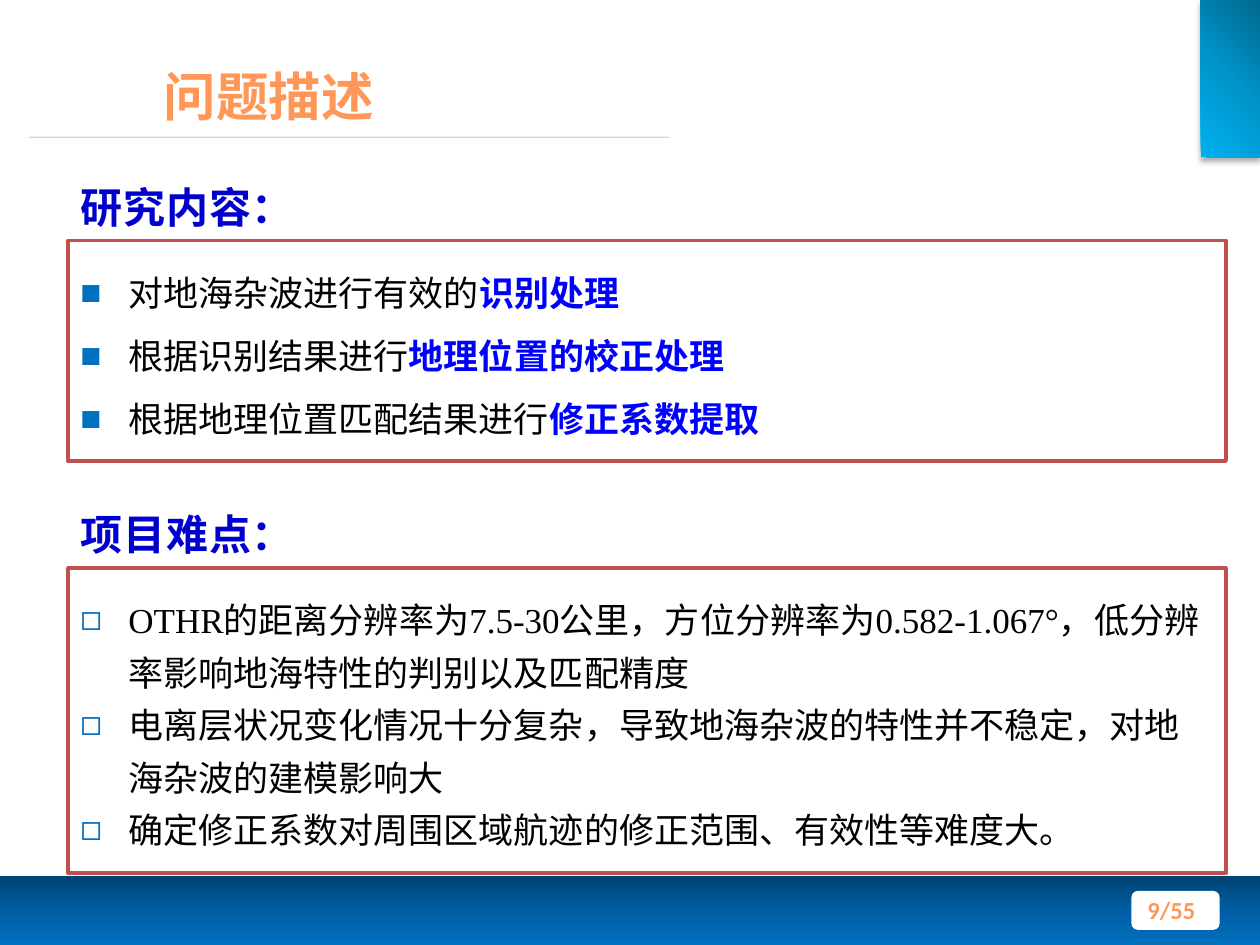
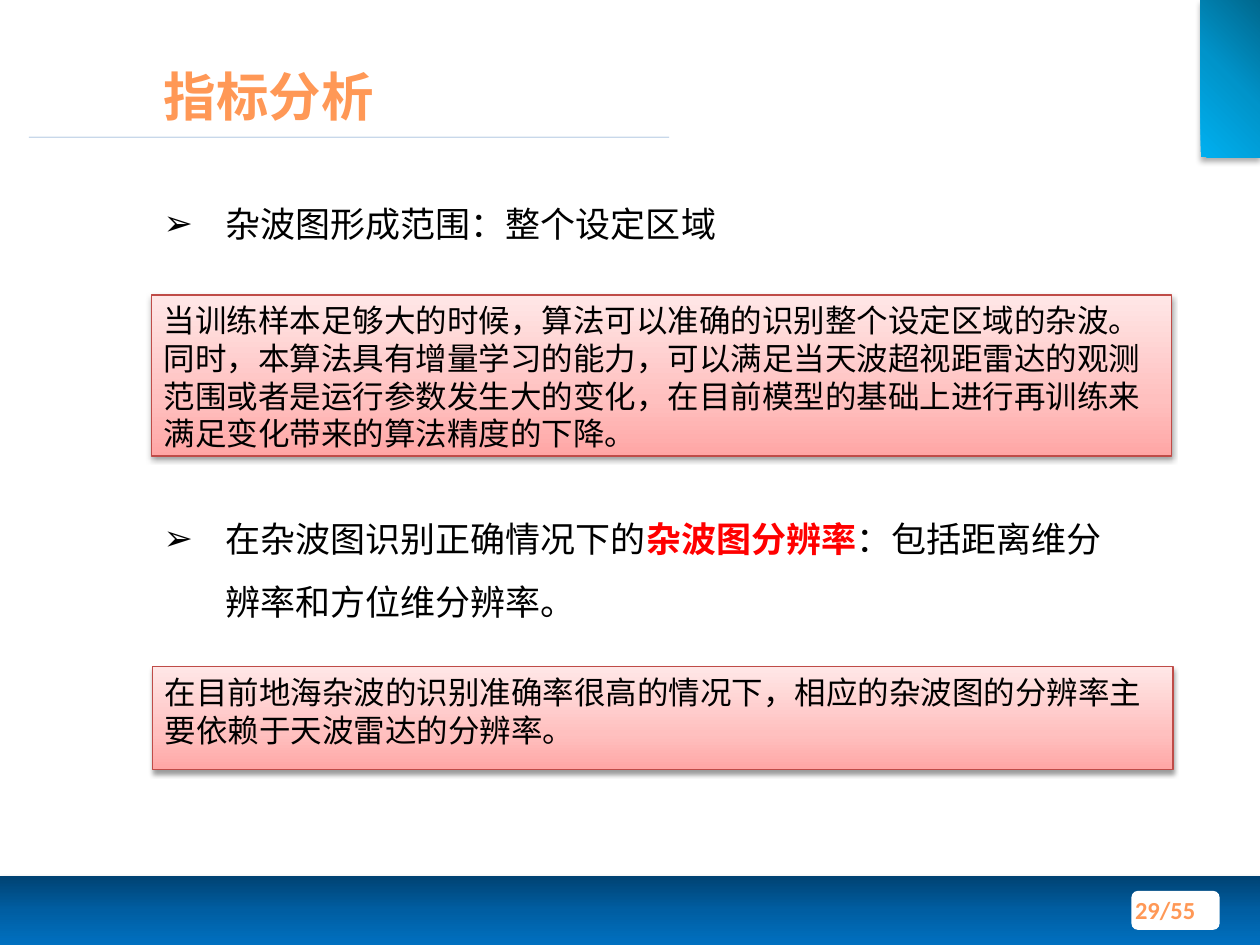
from dataclasses import dataclass

from lxml import etree
from pptx import Presentation
from pptx.dml.color import RGBColor
from pptx.enum.shapes import MSO_CONNECTOR, MSO_SHAPE
from pptx.enum.text import MSO_ANCHOR, PP_ALIGN
from pptx.oxml.ns import qn
from pptx.util import Emu, Pt

RECT, ROUND_RECT = MSO_SHAPE.RECTANGLE, MSO_SHAPE.ROUNDED_RECTANGLE
STRAIGHT = MSO_CONNECTOR.STRAIGHT
TOP, MIDDLE, BOTTOM = MSO_ANCHOR.TOP, MSO_ANCHOR.MIDDLE, MSO_ANCHOR.BOTTOM
LEFT, RIGHT = PP_ALIGN.LEFT, PP_ALIGN.RIGHT

PX = 9144
LINE_RATIO = 1.2
SANS, SERIF, NUMERALS = "Noto Sans CJK SC", "Times New Roman", "Calibri"
WHITE, BLACK, ORANGE = "FFFFFF", "000000", "FF9856"
BLUE, NAVY, BULLET_BLUE, RED = "0000FF", "0000CC", "0070C0", "FF0000"
FRAME_RED, NOTE_RED, RULE_BLUE = "C0504D", "BF4C48", "4A7EBB"


@dataclass(frozen=True)
class Box:
    left: int
    top: int
    width: int
    height: int


@dataclass(frozen=True)
class Gradient:
    stops: tuple[tuple[int, str], ...]
    angle: int = 90
    focus: tuple[tuple[str, int], ...] = ()


@dataclass(frozen=True)
class Shadow:
    opacity: int
    blur: float
    distance: float


@dataclass(frozen=True)
class Style:
    size: int
    font: str = SANS
    color: str = BLACK
    bold: bool = False
    tracking: int = 0
    spacing: float = 1
    before: int = 0
    align: PP_ALIGN = LEFT
    bullet: str = ""
    bullet_color: str = BLACK
    indent: int = 0


@dataclass(frozen=True)
class Part:
    text: str
    color: str = ""


@dataclass(frozen=True)
class Panel:
    box: Box
    fill: str | Gradient
    line: str = ""
    weight: float = 0
    shadow: Shadow | None = None
    kind: MSO_SHAPE = RECT


Paragraphs = list[list[Part]]

TITLE = Style(30, color=ORANGE, bold=True)
PAGE = Style(14, NUMERALS, ORANGE, bold=True, align=RIGHT)
HEADING = Style(24, color=NAVY, bold=True, tracking=50)
TASK = Style(20, spacing=1.25, before=6, bullet="■",
             bullet_color=BULLET_BLUE, indent=38)
DIFFICULTY = Style(20, SERIF, spacing=1.25, bullet="◻",
                   bullet_color=BULLET_BLUE, indent=38)
METRIC = Style(20, spacing=1.5, bullet="➢", indent=49)
NOTE = Style(18, SERIF)

NOTE_FILL = Gradient(((0, "FFA6A5"), (35, "FFC0BF"), (100, "FFE7E7")), 270)
NOTE_SHADOW = Shadow(38, 3.1, 1.6)
FOOTER = Panel(Box(0, 695, 1000, 55),
               Gradient(((0, "004272"), (50, "005EA2"), (100, "0070C0"))),
               shadow=Shadow(40, 4, 3))
PAGE_PLATE = Panel(Box(898, 707, 70, 31), WHITE, kind=ROUND_RECT)
CORNER = Panel(Box(953, 0, 47, 125),
               Gradient(((0, "00688E"), (50, "0094CA"), (100, "00B0F0")),
                        focus=(("l", 100), ("t", 0), ("r", 0), ("b", 100))),
               shadow=Shadow(32, 3.5, 2.2))


def rgb(code: str) -> RGBColor:
    return RGBColor.from_string(code)


def px(length: int) -> Emu:
    return Emu(length * PX)


def place(box: Box) -> tuple[Emu, ...]:
    return tuple(px(n) for n in (box.left, box.top, box.width, box.height))


def apply(target, values: dict) -> None:
    for name, value in values.items():
        setattr(target, name, value)


def child(parent, tag: str, **values):
    return etree.SubElement(parent, qn(f"a:{tag}"),
                            {name: str(value) for name, value in values.items()})


def paint_gradient(shape, gradient: Gradient) -> None:
    shape.fill.gradient()
    fill = shape._element.spPr.find(qn("a:gradFill"))
    for old in list(fill):
        fill.remove(old)
    stops = child(fill, "gsLst")
    for position, color in gradient.stops:
        child(child(stops, "gs", pos=position * 1000), "srgbClr", val=color)
    if gradient.focus:
        focus = {side: n * 1000 for side, n in gradient.focus}
        child(child(fill, "path", path="circle"), "fillToRect", **focus)
    else:
        child(fill, "lin", ang=gradient.angle * 60000, scaled=0)


def cast_shadow(shape, shadow: Shadow) -> None:
    effects = shape._element.spPr.find(qn("a:effectLst"))
    outer = child(effects, "outerShdw", blurRad=Pt(shadow.blur),
                  dist=Pt(shadow.distance), dir=5400000,
                  algn="ctr", rotWithShape=0)
    child(child(outer, "srgbClr", val=BLACK), "alpha", val=shadow.opacity * 1000)


def draw_panel(slide, panel: Panel):
    shape = slide.shapes.add_shape(panel.kind, *place(panel.box))
    shape.shadow.inherit = False
    if isinstance(panel.fill, Gradient):
        paint_gradient(shape, panel.fill)
    else:
        shape.fill.solid()
        shape.fill.fore_color.rgb = rgb(panel.fill)
    if panel.line:
        shape.line.color.rgb = rgb(panel.line)
        shape.line.width = Pt(panel.weight)
    else:
        shape.line.fill.background()
    if panel.shadow:
        cast_shadow(shape, panel.shadow)
    return shape


def write_part(paragraph, part: Part, style: Style) -> None:
    run = paragraph.add_run()
    run.text = part.text
    apply(run.font, {"size": Pt(style.size), "name": style.font,
                     "bold": style.bold or bool(part.color)})
    run.font.color.rgb = rgb(part.color or style.color)
    properties = run._r.get_or_add_rPr()
    child(properties, "ea", typeface=SANS)
    if style.tracking:
        properties.set("spc", str(style.tracking))


def add_bullet(paragraph, style: Style) -> None:
    properties = paragraph._p.get_or_add_pPr()
    properties.set("marL", str(px(style.indent)))
    properties.set("indent", str(px(-style.indent)))
    child(child(properties, "buClr"), "srgbClr", val=style.bullet_color)
    child(properties, "buFont", typeface="Arial")
    child(properties, "buChar", char=style.bullet)


def write(shape, paragraphs: Paragraphs, style: Style, anchor: MSO_ANCHOR = TOP,
          margin: int = 5, wrap: bool = True, gap: int = 0) -> None:
    frame = shape.text_frame
    apply(frame, {"word_wrap": wrap, "vertical_anchor": anchor,
                  "margin_left": px(10), "margin_right": px(10),
                  "margin_top": px(margin), "margin_bottom": px(margin)})
    for index, parts in enumerate(paragraphs):
        paragraph = frame.paragraphs[0] if index == 0 else frame.add_paragraph()
        before = style.before + (gap if index else 0)
        apply(paragraph, {"alignment": style.align, "space_before": Pt(before),
                          "line_spacing": Pt(style.size * LINE_RATIO * style.spacing)})
        for part in parts:
            write_part(paragraph, part, style)
        if style.bullet:
            add_bullet(paragraph, style)


def draw_text(slide, box: Box, paragraphs: Paragraphs, style: Style, **layout) -> None:
    write(slide.shapes.add_textbox(*place(box)), paragraphs, style, **layout)


def draw_title_rule(slide) -> None:
    rule = slide.shapes.add_connector(STRAIGHT, px(23), px(109), px(531), px(109))
    rule.line.color.rgb = rgb(RULE_BLUE)
    rule.line.width = Pt(0.75)
    properties = rule._element.spPr
    color = properties.find(f".//{qn('a:srgbClr')}")
    child(color, "alpha", val=29000)
    child(properties, "effectLst")


def start_slide(deck, title: str, page: int):
    slide = deck.slides.add_slide(deck.slide_layouts[6])
    for panel in (FOOTER, PAGE_PLATE, CORNER):
        draw_panel(slide, panel)
    draw_title_rule(slide)
    draw_text(slide, Box(870, 702, 93, 40), [[Part(f"{page}/55 ")]], PAGE, anchor=MIDDLE)
    draw_text(slide, Box(120, 44, 852, 62), [[Part(title)]], TITLE, anchor=BOTTOM)
    return slide


def draw_section(slide, heading: str, top: int, height: int,
                 points: Paragraphs, style: Style) -> None:
    frame = Panel(Box(54, top + 52, 919, height), WHITE, FRAME_RED, 2)
    write(draw_panel(slide, frame), points, style, margin=16)
    draw_text(slide, Box(54, top, 192, 50), [[Part(heading)]], HEADING, wrap=False)


def draw_note(slide, box: Box, text: str) -> None:
    note = Panel(box, NOTE_FILL, NOTE_RED, 0.75, NOTE_SHADOW)
    write(draw_panel(slide, note), [[Part(text)]], NOTE)


def build_problem(deck) -> None:
    slide = start_slide(deck, "问题描述", 9)
    tasks = [
        [Part("对地海杂波进行有效的"), Part("识别处理", BLUE)],
        [Part("根据识别结果进行"), Part("地理位置的校正处理", BLUE)],
        [Part("根据地理位置匹配结果进行"), Part("修正系数提取", BLUE)],
    ]
    difficulties = [
        [Part("OTHR的距离分辨率为7.5-30公里，方位分辨率为0.582-1.067°，"
              "低分辨率影响地海特性的判别以及匹配精度")],
        [Part("电离层状况变化情况十分复杂，导致地海杂波的特性并不稳定，"
              "对地海杂波的建模影响大")],
        [Part("确定修正系数对周围区域航迹的修正范围、有效性等难度大。")],
    ]
    draw_section(slide, "研究内容：", 139, 175, tasks, TASK)
    draw_section(slide, "项目难点：", 399, 242, difficulties, DIFFICULTY)


def build_metrics(deck) -> None:
    slide = start_slide(deck, "指标分析", 29)
    metrics = [
        [Part("杂波图形成范围：整个设定区域")],
        [Part("在杂波图识别正确情况下的"), Part("杂波图分辨率", RED),
         Part("：包括距离维分辨率和方位维分辨率。")],
    ]
    draw_text(slide, Box(120, 139, 774, 495), metrics, METRIC, gap=144)
    draw_note(slide, Box(120, 234, 810, 128),
              "当训练样本足够大的时候，算法可以准确的识别整个设定区域的杂波。"
              "同时，本算法具有增量学习的能力，可以满足当天波超视距雷达的观测"
              "范围或者是运行参数发生大的变化，在目前模型的基础上进行再训练来"
              "满足变化带来的算法精度的下降。")
    draw_note(slide, Box(121, 529, 810, 82),
              "在目前地海杂波的识别准确率很高的情况下，相应的杂波图的分辨率主"
              "要依赖于天波雷达的分辨率。")


def main() -> None:
    deck = Presentation()
    apply(deck, {"slide_width": px(1000), "slide_height": px(750)})
    build_problem(deck)
    build_metrics(deck)
    deck.save("out.pptx")


if __name__ == "__main__":
    main()
